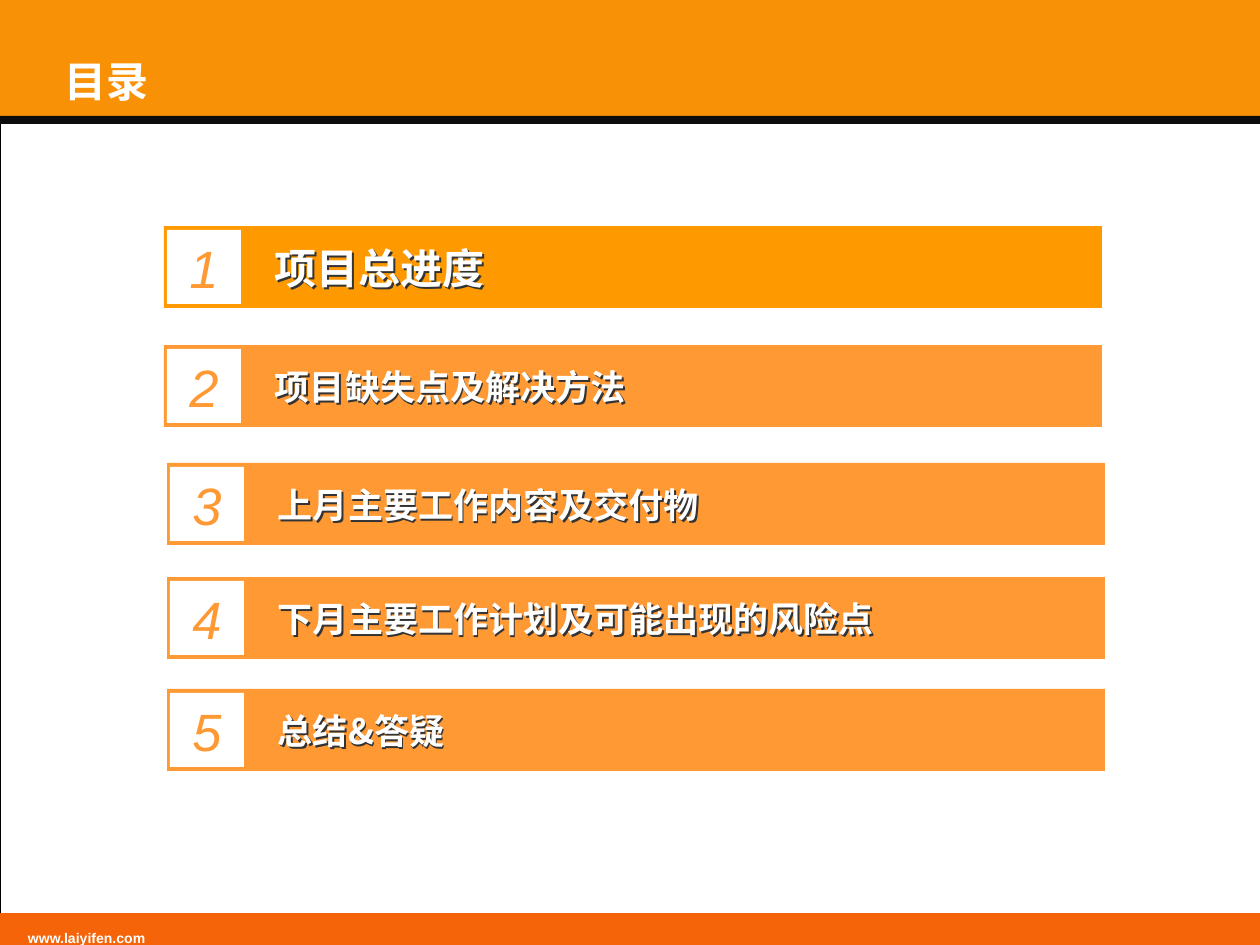
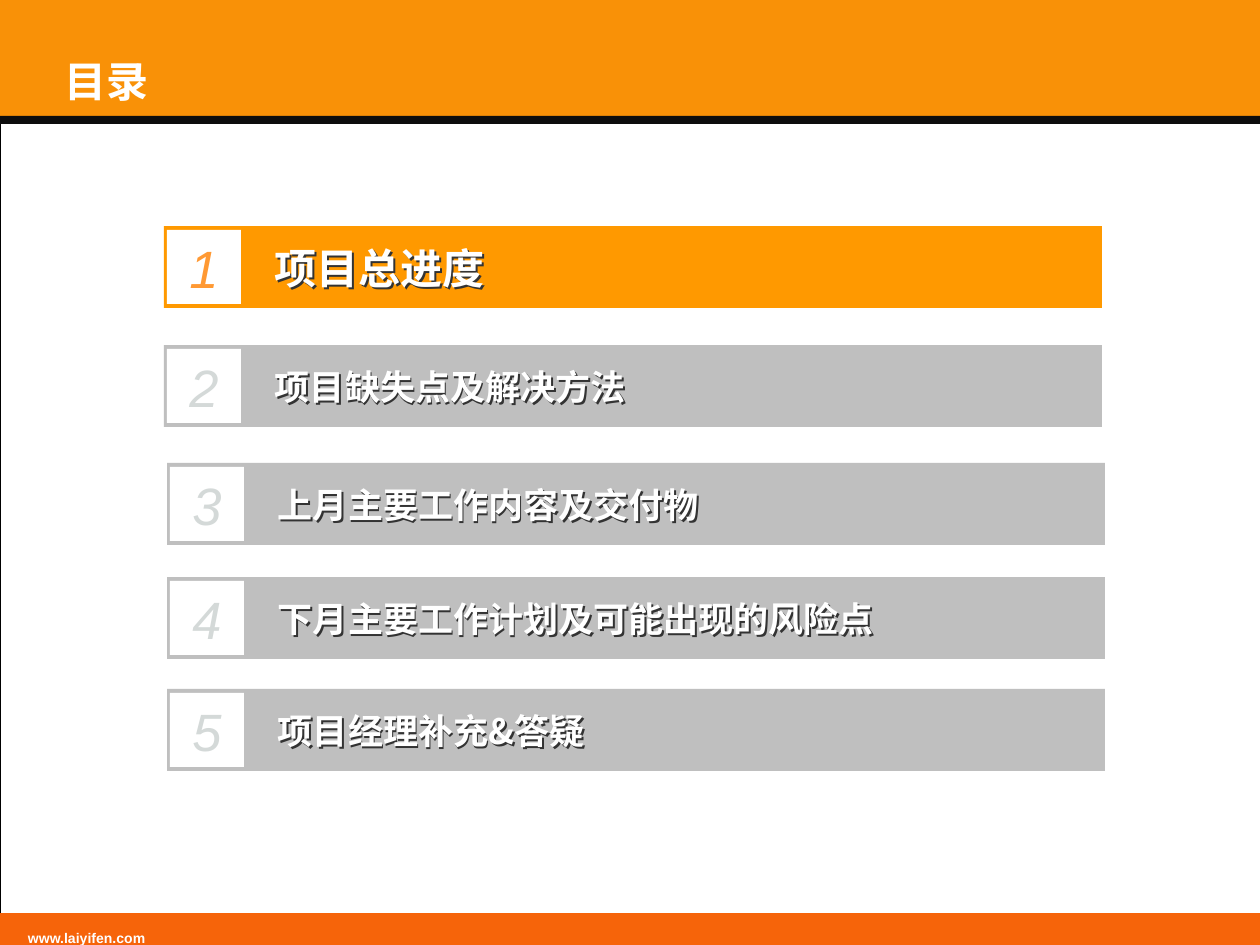
from lxml import etree
from pptx import Presentation
from pptx import util as u
from pptx.dml.color import RGBColor
from pptx.enum import shapes, text
from pptx.oxml.ns import qn

HEADING = "目录"
SITE = "www.laiyifen.com"
TOPICS = ["项目总进度", "项目缺失点及解决方法", "上月主要工作内容及交付物", "下月主要工作计划及可能出现的风险点"]
AGENDAS = [
    {"topics": TOPICS + ["总结&答疑"], "bar": "orange", "number": "orange"},
    {"topics": TOPICS + ["项目经理补充&答疑"], "bar": "grey", "number": "pale"},
]
ROW_CORNERS = [(164, 226), (164, 345), (167, 463), (167, 577), (167, 689)]

COLOURS = {
    "header": "F99107", "rule": "0D0D0D", "footer": "F6640A",
    "current": "FF9900", "orange": "FF9933", "grey": "BFBFBF",
    "pale": "D4D9D8", "white": "FFFFFF", "black": "000000", "shadow": "333333",
}
LATIN, CHINESE = "Arial", "Noto Sans CJK SC"
WIDTH, HEIGHT = 1260, 945
BANDS = [
    ((0, 0, WIDTH, 118), "header"),
    ((0, 116, WIDTH, 8), "rule"),
    ((0, 913, WIDTH, 32), "footer"),
]


def px(length):
    return u.Emu(round(length * 914400 / 126))


def colour(key):
    return RGBColor.from_string(COLOURS[key])


def add_box(slide, box, fill=None):
    panel = slide.shapes.add_shape(shapes.MSO_SHAPE.RECTANGLE, *map(px, box))
    panel.shadow.inherit = False
    panel.line.fill.background()
    if fill:
        panel.fill.solid()
        panel.fill.fore_color.rgb = colour(fill)
    else:
        panel.fill.background()
    return panel


def write(holder, words, size, key, font=LATIN, margins=(5, 3, 5, 3), bold=True,
          italic=False, anchor=text.MSO_ANCHOR.MIDDLE, align=text.PP_ALIGN.LEFT):
    frame = holder.text_frame
    frame.text = words
    frame.word_wrap = True
    frame.auto_size = text.MSO_AUTO_SIZE.NONE
    frame.vertical_anchor = anchor
    (frame.margin_left, frame.margin_top,
     frame.margin_right, frame.margin_bottom) = map(px, margins)
    paragraph = frame.paragraphs[0]
    paragraph.alignment = align
    run = paragraph.runs[0]
    run.font.size = u.Pt(size)
    run.font.bold = bold
    run.font.italic = italic
    run.font.color.rgb = colour(key)
    run.font.name = font
    properties = run._r.get_or_add_rPr()
    east_asian = etree.Element(qn("a:ea"), typeface=font)
    properties.find(qn("a:latin")).addnext(east_asian)
    return paragraph


def add_shadow(label):
    effects = etree.SubElement(label.element.spPr, qn("a:effectLst"))
    shadow = etree.SubElement(effects, qn("a:outerShdw"), dist="18000",
                              dir="2700000", algn="ctr", rotWithShape="0")
    etree.SubElement(shadow, qn("a:srgbClr"), val=COLOURS["shadow"])


def furnish_layout(layout, slide):
    frame = add_box(slide, (0, 0, WIDTH, HEIGHT))
    frame.line.color.rgb = colour("black")
    frame.line.width = u.Pt(0.2)
    furniture = [frame] + [add_box(slide, box, fill) for box, fill in BANDS]
    site = slide.shapes.add_textbox(*map(px, (0, 920, 828, 25)))
    write(site, SITE, 8, "white", margins=(28, 6, 13, 0),
          anchor=text.MSO_ANCHOR.TOP).line_spacing = 1.2
    for index, part in enumerate(furniture + [site], start=2):
        layout.shapes.element.insert(index, part.element)


def add_heading(slide):
    heading = slide.shapes.title
    heading.left, heading.top, heading.width, heading.height = map(px, (40, 39, 1024, 72))
    write(heading, HEADING, 24, "white", CHINESE, (25, 25, 5, 5),
          anchor=text.MSO_ANCHOR.BOTTOM)


def add_topic(slide, position, topic, corner, bar, number):
    left, top = corner
    current = position == 1
    add_box(slide, (left, top, 938, 82), "current" if current else bar)
    label = slide.shapes.add_textbox(*map(px, (left + 106, top + 17, 832, 49)))
    write(label, topic, 24 if current else 20, "white", CHINESE)
    add_shadow(label)
    badge = add_box(slide, (left + 3, top + 4, 74, 74), "white")
    write(badge, str(position), 30, "orange" if current else number,
          margins=(0, 8, 0, 6), bold=False, italic=True, align=text.PP_ALIGN.CENTER)


def main():
    deck = Presentation()
    deck.slide_width, deck.slide_height = px(WIDTH), px(HEIGHT)
    layout = deck.slide_layouts.get_by_name("Title Only")
    slides = [deck.slides.add_slide(layout) for _ in AGENDAS]
    furnish_layout(layout, slides[0])
    for slide, agenda in zip(slides, AGENDAS):
        add_heading(slide)
        rows = zip(agenda["topics"], ROW_CORNERS)
        for position, (topic, corner) in enumerate(rows, start=1):
            add_topic(slide, position, topic, corner, agenda["bar"], agenda["number"])
    deck.save("out.pptx")


if __name__ == "__main__":
    main()
